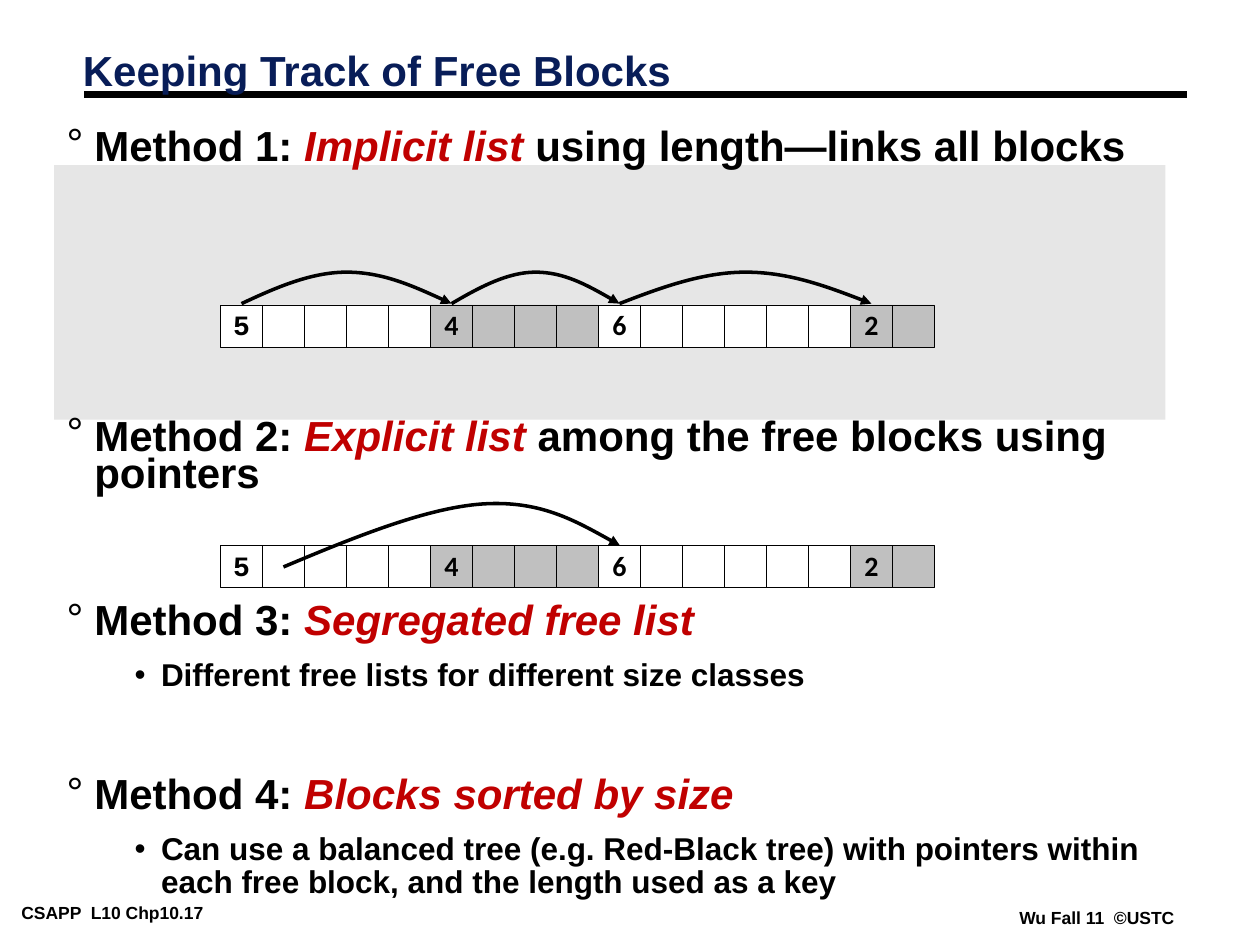
from lxml.etree import SubElement
from pptx import Presentation
from pptx.dml.color import RGBColor
from pptx.enum.shapes import MSO_CONNECTOR, MSO_SHAPE
from pptx.enum.text import MSO_ANCHOR, PP_ALIGN
from pptx.oxml.ns import qn
from pptx.util import Inches, Pt

COLORS = {k: RGBColor.from_string(v) for k, v in {
    "black": "000000", "white": "FFFFFF", "panel": "E6E6E6",
    "allocated": "C0C0C0", "title": "081D58", "accent": "C00000"}.items()}

prs = Presentation()
prs.slide_width, prs.slide_height = Inches(10), Inches(7.5)
s = prs.slides.add_slide(prs.slide_layouts[6])


def add_run(p, text, size, color="black", font="Arial", italic=False):
    r = p.add_run()
    r.text = text
    for name, value in {"size": Pt(size), "name": font, "bold": True, "italic": italic}.items():
        setattr(r.font, name, value)
    r.font.color.rgb = COLORS[color]


def add_arc(points):
    """Draw a chain of cubic curves ending in an arrowhead."""
    pts = [(Inches(x), Inches(y)) for x, y in points]
    builder = s.shapes.build_freeform(*pts[0])
    builder.add_line_segments(pts[1:], close=False)
    sp = builder.convert_to_shape()
    sp.shadow.inherit = False
    sp.fill.background()
    sp.line.color.rgb = COLORS["black"]
    sp.line.width = Pt(2)
    SubElement(sp.line._get_or_add_ln(), qn("a:tailEnd"), type="triangle")
    # Each three straight segments become one cubic curve
    segments = list(sp._element.iter(qn("a:lnTo")))
    outline = segments[0].getparent()
    for i in range(0, len(segments), 3):
        curve = SubElement(outline, qn("a:cubicBezTo"))
        for seg in segments[i:i + 3]:
            curve.append(seg[0])
            outline.remove(seg)


# Footers
for x, y, w, text in [(0.1, 7.13, 2.1, "CSAPP  L10 Chp10.17"),
                      (8.02, 7.17, 1.38, "Wu Fall 11  ©USTC")]:
    tf = s.shapes.add_textbox(Inches(x), Inches(y), Inches(w), Inches(0.22)).text_frame
    tf.word_wrap = False
    for side, inset in {"left": 0.07, "right": 0.07, "top": 0.03, "bottom": 0.03}.items():
        setattr(tf, f"margin_{side}", Inches(inset))
    add_run(tf.paragraphs[0], text, 10)

# Title rule
rule = s.shapes.add_connector(MSO_CONNECTOR.STRAIGHT, Inches(0.67), Inches(0.75),
                              Inches(9.42), Inches(0.75))
rule.line.color.rgb = COLORS["black"]
rule.line.width = Pt(4.5)
SubElement(rule._element.spPr, qn("a:effectLst"))

# Panel behind the implicit list
panel = s.shapes.add_shape(MSO_SHAPE.RECTANGLE, Inches(0.43), Inches(1.31),
                           Inches(8.82), Inches(2.02))
panel.shadow.inherit = False
panel.fill.solid()
panel.fill.fore_color.rgb = COLORS["panel"]
panel.line.fill.background()

# Title
tf = s.shapes.add_textbox(Inches(0.56), Inches(0.36), Inches(8.3), Inches(0.45)).text_frame
tf.word_wrap = True
tf.vertical_anchor = MSO_ANCHOR.MIDDLE
tf.paragraphs[0].line_spacing = 0.87
add_run(tf.paragraphs[0], "Keeping Track of Free Blocks", 24, "title")

# Methods: level, line spacing, space before, (plain, accented, plain) text
METHODS = [
    (0, 0.75, 0, ("Method 1: ", "Implicit list ", "using length—links all blocks")),
    (0, 0.75, 144, ("Method 2: ", "Explicit list ", "among the free blocks using pointers")),
    (0, 0.83, 60.5, ("Method 3: ", "Segregated free list")),
    (1, 0.88, 9, ("Different free lists for different size classes",)),
    (0, 0.83, 47.5, ("Method 4: ", "Blocks sorted by size")),
    (1, 0.88, 9, ("Can use a balanced tree (e.g. Red-Black tree) with pointers within "
                  "each free block, and the length used as a key",)),
]
LEVELS = [(0.22, -0.22, "°", 24), (0.75, -0.21, "•", 18)]  # margin, indent, bullet, size
tf = s.shapes.add_textbox(Inches(0.43), Inches(0.99), Inches(9.07), Inches(6.49)).text_frame
tf.word_wrap = True
for i, (level, spacing, before, texts) in enumerate(METHODS):
    p = tf.add_paragraph() if i else tf.paragraphs[0]
    margin, indent, bullet, size = LEVELS[level]
    for name, value in {"level": level, "line_spacing": spacing, "space_before": Pt(before)}.items():
        setattr(p, name, value)
    pPr = p._p.get_or_add_pPr()
    pPr.set("marL", str(Inches(margin)))
    pPr.set("indent", str(Inches(indent)))
    SubElement(SubElement(pPr, qn("a:buClr")), qn("a:srgbClr"), val=str(COLORS["black"]))
    SubElement(pPr, qn("a:buFont"), typeface="Arial")
    SubElement(pPr, qn("a:buChar"), char=bullet)
    for j, text in enumerate(texts):
        add_run(p, text, size, "accent" if j == 1 else "black", italic=j == 1)

# Memory rows: each block is its length in cells, a header and a fill
BLOCKS = [(5, "white"), (4, "allocated"), (6, "white"), (2, "allocated")]
CELL, LEFT = 1 / 3, 1.75
for top in (2.42, 4.33):
    x = LEFT
    for length, fill in BLOCKS:
        for i in range(length):
            cell = s.shapes.add_shape(MSO_SHAPE.RECTANGLE, Inches(x), Inches(top),
                                      Inches(CELL), Inches(CELL))
            cell.shadow.inherit = False
            cell.fill.solid()
            cell.fill.fore_color.rgb = COLORS[fill]
            cell.line.color.rgb = COLORS["black"]
            cell.line.width = Pt(0.25)
            x += CELL
            if i == 0:
                tf = cell.text_frame
                tf.word_wrap = False
                tf.vertical_anchor = MSO_ANCHOR.MIDDLE
                p = tf.paragraphs[0]
                p.alignment = PP_ALIGN.CENTER
                p.line_spacing = 0.94 if length == 5 else 0.98
                add_run(p, str(length), 16, font="Courier New" if length == 5 else "Calibri")

# Implicit list: every block links to the next one
start = LEFT + CELL / 2
for length, _ in BLOCKS[:-1]:
    step = length * CELL / 6
    heights = (2.41, 2.28, 2.16, 2.16, 2.16, 2.28, 2.41)
    add_arc([(start + i * step, y) for i, y in enumerate(heights)])
    start += length * CELL

# Explicit list: the first free block points to the next free one
add_arc([(2.25, 4.5), (2.82, 4.26), (3.39, 4.03), (3.83, 4),
         (4.28, 3.97), (4.6, 4.15), (4.92, 4.33)])

prs.save("out.pptx")
